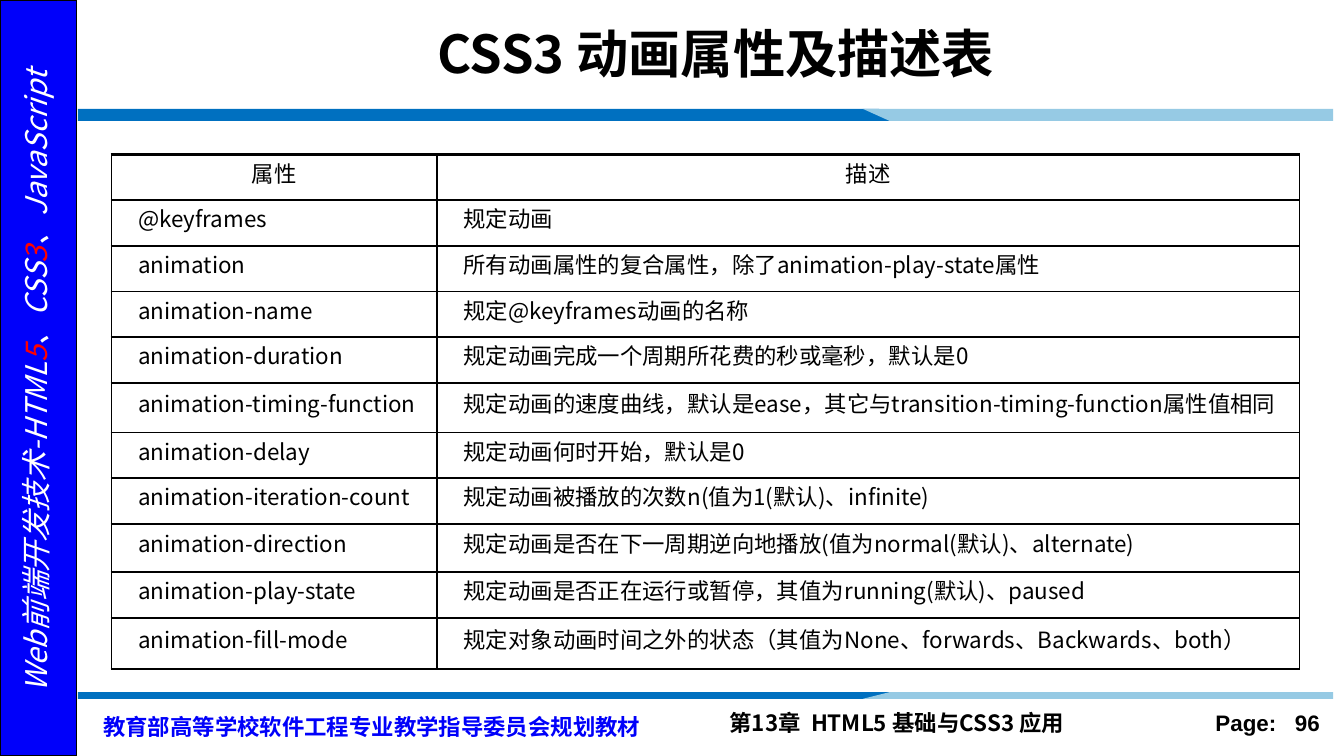
from lxml import etree
from pptx import Presentation
from pptx import util as u
from pptx.dml.color import RGBColor
from pptx.enum import shapes, text
from pptx.oxml import ns

ALIGN = text.PP_ALIGN


class Theme:
    """Colours, fonts and type sizes."""
    black, white, red = "000000", "FFFFFF", "FF0000"
    side, dark, light = "0000FA", "0070C0", "96CAE4"
    cjk, latin = "Noto Sans CJK SC", "Arial"
    title, gap, label, body = 28, 20, 16, 12


class Deck:
    def __init__(self, theme, width, height):
        self.theme = theme
        self.prs = Presentation()
        self.prs.slide_width = u.Inches(width)
        self.prs.slide_height = u.Inches(height)
        self.slide = self.prs.slides.add_slide(self.prs.slide_layouts[6])

    def style(self, run, size, color, bold=False, italic=False, font=None):
        font = font or self.theme.cjk
        run.font.size = u.Pt(size)
        run.font.bold = bold
        run.font.italic = italic
        run.font.color.rgb = RGBColor.from_string(color)
        run.font.name = font
        east = etree.SubElement(run.font._element, ns.qn("a:ea"))
        east.set("typeface", font)

    def paint(self, shape, color):
        shape.shadow.inherit = False
        shape.fill.solid()
        shape.fill.fore_color.rgb = RGBColor.from_string(color)
        shape.line.fill.background()

    def rect(self, box, color, edge):
        shape = self.slide.shapes.add_shape(
            shapes.MSO_SHAPE.RECTANGLE, *map(u.Inches, box))
        self.paint(shape, color)
        shape.line.color.rgb = RGBColor.from_string(edge)
        shape.line.width = u.Pt(1)

    def shape(self, points, color):
        spots = [(u.Inches(x), u.Inches(y)) for x, y in points]
        pen = self.slide.shapes.build_freeform(*spots[0], scale=1.0)
        pen.add_line_segments(spots[1:], close=True)
        self.paint(pen.convert_to_shape(), color)

    def text(self, box, parts, size, align=ALIGN.LEFT, lead=None, turn=0,
             middle=False, **look):
        """Add a text box; parts holds (wording, colour[, size]) tuples."""
        shape = self.slide.shapes.add_textbox(*map(u.Inches, box))
        shape.rotation = turn
        frame = shape.text_frame
        frame.word_wrap = True
        if middle:
            frame.vertical_anchor = text.MSO_ANCHOR.MIDDLE
        para = frame.paragraphs[0]
        para.alignment = align
        para.line_spacing = lead
        for words, color, *own in parts:
            run = para.add_run()
            run.text = words
            self.style(run, own[0] if own else size, color, **look)

    def border(self, cell, top, bottom):
        props = cell._tc.get_or_add_tcPr()
        for side, width in zip("LRTB", (1, 1, top, bottom)):
            line = etree.SubElement(props, ns.qn("a:ln" + side),
                                    w=str(u.Pt(width)))
            fill = etree.SubElement(line, ns.qn("a:solidFill"))
            etree.SubElement(fill, ns.qn("a:srgbClr"), val=self.theme.black)

    def cell(self, cell, words, head):
        cell.margin_left = cell.margin_right = u.Inches(0.07)
        cell.margin_top = cell.margin_bottom = 0
        cell.vertical_anchor = text.MSO_ANCHOR.MIDDLE
        cell.fill.background()
        cell.text_frame.text = words
        para = cell.text_frame.paragraphs[0]
        para.alignment = ALIGN.CENTER if head else ALIGN.JUSTIFY
        para.line_spacing = u.Pt(12)
        para.space_before = u.Pt(2.4)
        if not head:
            para._p.get_or_add_pPr().set("indent", str(u.Inches(0.13)))
        self.style(para.runs[0], self.theme.body, self.theme.black)

    def table(self, box, cols, heights, rows):
        grid = self.slide.shapes.add_table(
            len(rows), len(cols), *map(u.Inches, box)).table
        grid.first_row = grid.horz_banding = False
        for col, width in zip(grid.columns, cols):
            col.width = u.Inches(width)
        last = len(rows) - 1
        for r, row in enumerate(rows):
            grid.rows[r].height = u.Inches(heights.get(r, 0.34))
            for c, words in enumerate(row):
                cell = grid.cell(r, c)
                self.border(cell, 1.5 if r < 2 else 1,
                            1.5 if r in (0, last) else 1)
                self.cell(cell, words, r == 0)


t = Theme()
wide = 10
high = wide * 9 / 16
deck = Deck(t, wide, high)

# Footer
deck.text((5.33, 5.23, 3.29, 0.3), [("第13章  HTML5 基础与CSS3 应用", t.black)],
          t.body, bold=True)
deck.text((8.67, 5.23, 1.25, 0.3), [("Page:   96", t.black)], t.body,
          ALIGN.RIGHT, bold=True, font=t.latin)
deck.text((0.67, 5.23, 4.33, 0.35),
          [("教育部高等学校软件工程专业教学指导委员会规划教材", t.side),
           (" ", t.side, t.gap)],
          t.body, lead=u.Pt(18), bold=True)

# Side band
deck.rect((0, 0, 0.57, high), t.side, t.black)
deck.text((-2.31, 2.67, 5.19, 0.34),
          [("Web前端开发技术-HTML", t.white), ("5", t.red), ("、CSS", t.white),
           ("3", t.red), ("、JavaScript", t.white)],
          t.label, ALIGN.CENTER, lead=0.9, turn=270, italic=True)

# Two-tone rules; the lower one is mirrored
for near, far in ((0.81, 0.9), (5.2, 5.15)):
    deck.shape([(0.58, near), (6.54, near), (6.72, far), (0.58, far)], t.dark)
    deck.shape([(6.42, near), (9.92, near), (9.92, far), (6.62, far)], t.light)

# Title
deck.text((1.08, 0.08, 8.49, 0.62), [("CSS3 动画属性及描述表", t.black)],
          t.title, ALIGN.CENTER, middle=True, bold=True)

# Property table
deck.table((0.83, 1.15, 8.83, 3.83), (2.42, 6.42), {5: 0.37, 8: 0.36, 10: 0.38}, [
    ("属性", "描述"),
    ("@keyframes", "规定动画"),
    ("animation", "所有动画属性的复合属性，除了animation-play-state属性"),
    ("animation-name", "规定@keyframes动画的名称"),
    ("animation-duration", "规定动画完成一个周期所花费的秒或毫秒，默认是0"),
    ("animation-timing-function",
     "规定动画的速度曲线，默认是ease，其它与transition-timing-function属性值相同"),
    ("animation-delay", "规定动画何时开始，默认是0"),
    ("animation-iteration-count", "规定动画被播放的次数n(值为1(默认)、infinite)"),
    ("animation-direction",
     "规定动画是否在下一周期逆向地播放(值为normal(默认)、alternate)"),
    ("animation-play-state", "规定动画是否正在运行或暂停，其值为running(默认)、paused"),
    ("animation-fill-mode",
     "规定对象动画时间之外的状态（其值为None、forwards、Backwards、both）"),
])

deck.prs.save("out.pptx")
